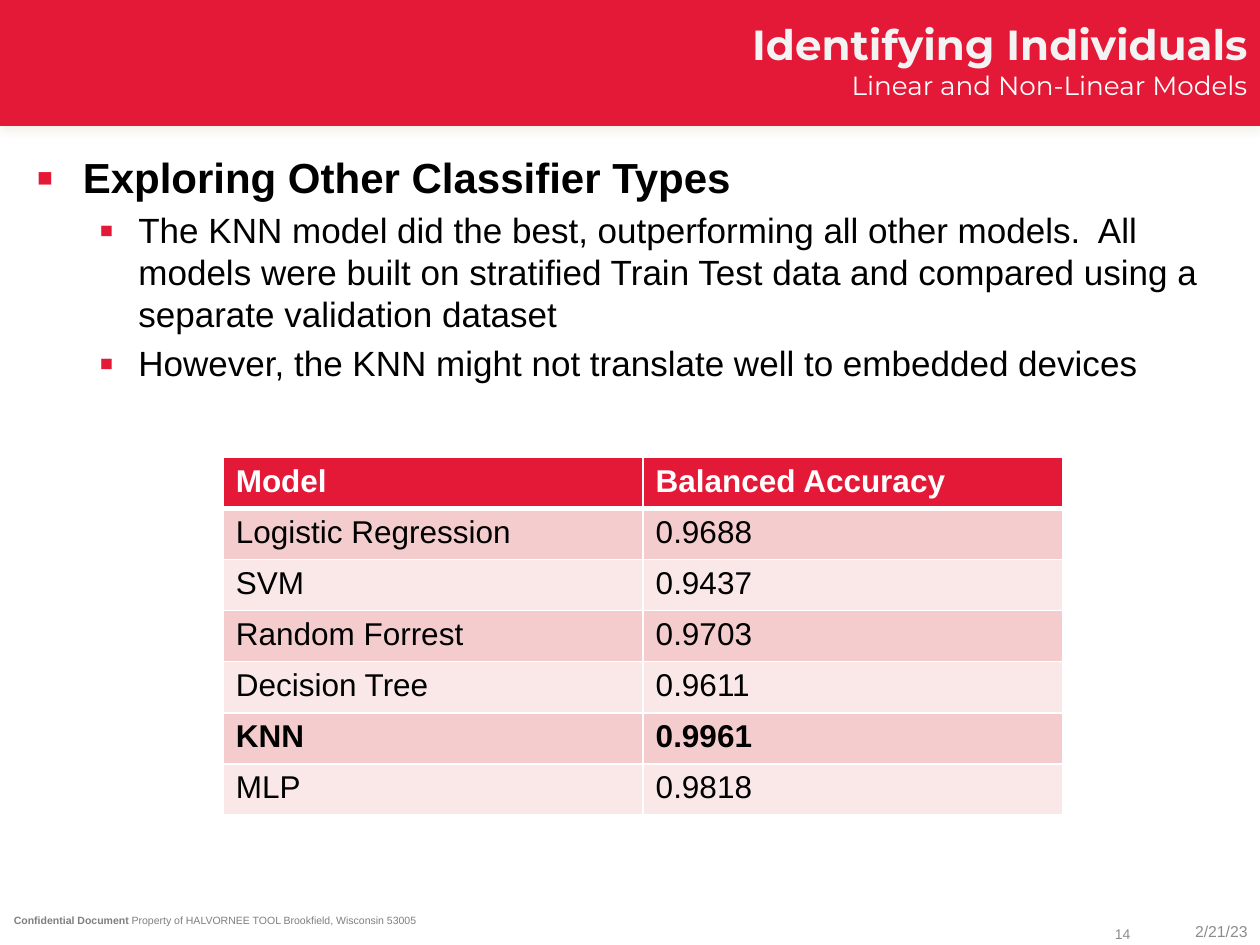
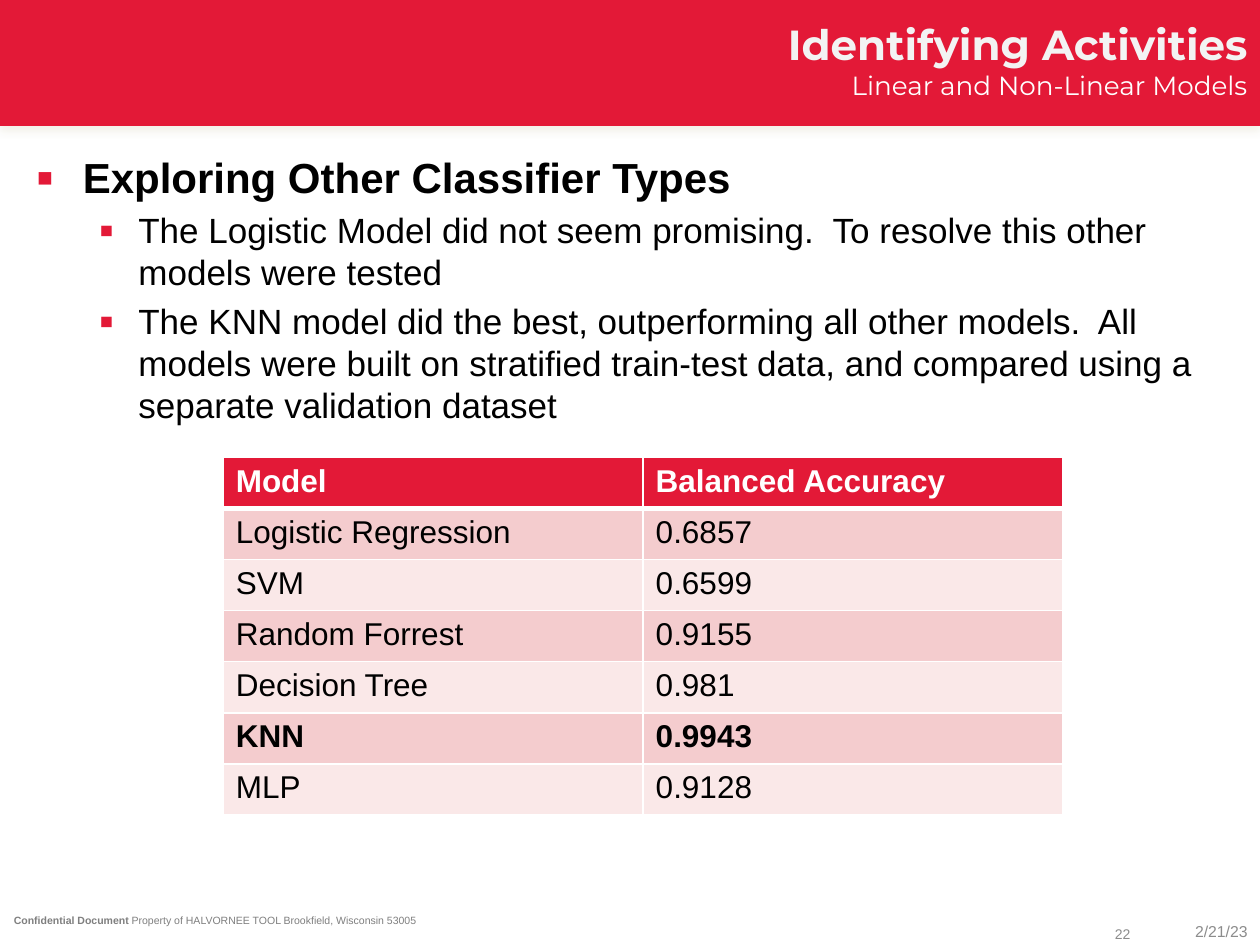
"""Build two slides that compare classifier models."""
import lxml.etree
import pptx
import pptx.dml.color
import pptx.enum.shapes
import pptx.enum.text
import pptx.oxml.ns
import pptx.util

Cm = pptx.util.Cm
Pt = pptx.util.Pt
ALIGN = pptx.enum.text.PP_ALIGN
ANCHOR = pptx.enum.text.MSO_ANCHOR

HUES = {
    "red": "E31937",
    "rose": "F4CCCE",
    "blush": "FAE8E8",
    "white": "FFFFFF",
    "pale": "F3F3F3",
    "black": "000000",
    "gray": "7F7F7F",
    "dim": "8C8C8C",
    "shade": "EEECE1",
}
HEAD = ("Model", "Balanced Accuracy")
MODELS = ("Logistic Regression", "SVM", "Random Forrest", "Decision Tree", "KNN", "MLP")
BEST = "KNN"
TOPIC = "Exploring Other Classifier Types"
SLIDES = [
    {
        "title": "Identifying Individuals",
        "points": (
            "The KNN model did the best, outperforming all other models.  All models were "
            "built on stratified Train Test data and compared using a separate validation dataset",
            "However, the KNN might not translate well to embedded devices",
        ),
        "scores": ("0.9688", "0.9437", "0.9703", "0.9611", "0.9961", "0.9818"),
        "page": "14",
    },
    {
        "title": "Identifying Activities",
        "points": (
            "The Logistic Model did not seem promising.  To resolve this other models were tested",
            "The KNN model did the best, outperforming all other models.  All models were "
            "built on stratified train-test data, and compared using a separate validation dataset",
        ),
        "scores": ("0.6857", "0.6599", "0.9155", "0.981", "0.9943", "0.9128"),
        "page": "22",
    },
]


def tint(name):
    """Return the named colour."""
    return pptx.dml.color.RGBColor.from_string(HUES[name])


def node(parent, tag, **attrs):
    """Append a drawing element to its parent."""
    return lxml.etree.SubElement(parent, pptx.oxml.ns.qn(f"a:{tag}"), attrs)


def add_run(para, text, size, hue, bold=False, face="Arial"):
    """Add one styled run."""
    run = para.add_run()
    run.text = text
    font = run.font
    font.name, font.size, font.bold = face, Pt(size), bold
    font.color.rgb = tint(hue)


def add_box(slide, left, top, width, height, anchor=ANCHOR.TOP, align=ALIGN.LEFT):
    """Add a wrapping text box and return its frame."""
    frame = slide.shapes.add_textbox(Cm(left), Cm(top), Cm(width), Cm(height)).text_frame
    frame.word_wrap = True
    frame.vertical_anchor = anchor
    frame.paragraphs[0].alignment = align
    return frame


def add_line(slide, area, text, size, hue, bold=False, face="Arial", anchor=ANCHOR.TOP):
    """Add one right-aligned line of text."""
    frame = add_box(slide, *area, anchor, ALIGN.RIGHT)
    add_run(frame.paragraphs[0], text, size, hue, bold, face)


def add_band(slide, width):
    """Add the red top band with its soft shadow."""
    kind = pptx.enum.shapes.MSO_SHAPE.RECTANGLE
    band = slide.shapes.add_shape(kind, 0, 0, width, Cm(2.54))
    band.fill.solid()
    band.fill.fore_color.rgb = tint("red")
    band.line.fill.background()
    band.shadow.inherit = False
    effects = band._element.spPr.find(pptx.oxml.ns.qn("a:effectLst"))
    glow = node(effects, "outerShdw", blurRad=str(Pt(5)), dist=str(Pt(2.1)),
                dir="5400000", algn="t", rotWithShape="0")
    node(node(glow, "srgbClr", val=HUES["shade"]), "alpha", val="75000")


def add_foot(slide, page):
    """Add the notice, page number and date."""
    para = add_box(slide, 0.03, 18.42, 25.4, 0.41).paragraphs[0]
    para.line_spacing = 0.5
    add_run(para, "Confidential Document ", 6, "gray", True)
    add_run(para, "Property of HALVORNEE TOOL Brookfield, Wisconsin 53005", 6, "gray")
    add_line(slide, (21.97, 18.59, 1.07, 0.46), page, 8, "dim", anchor=ANCHOR.MIDDLE)
    add_line(slide, (23.09, 18.59, 2.31, 0.38), "2/21/23", 9, "dim", anchor=ANCHOR.MIDDLE)


def set_mark(para, left, hang):
    """Give a paragraph a hanging red square."""
    props = para._p.get_or_add_pPr()
    props.set("marL", str(Cm(left)))
    props.set("indent", str(-Cm(hang)))
    node(node(props, "buClr"), "srgbClr", val=HUES["red"])
    node(props, "buSzPct", val="120000")
    node(props, "buFont", typeface="Arial")
    node(props, "buChar", char="▪")


def add_points(slide, points):
    """Add the topic and its points."""
    frame = add_box(slide, 0.48, 2.92, 24.59, 15.24)
    topic = frame.paragraphs[0]
    set_mark(topic, 0.94, 0.94)
    topic.line_spacing = Pt(29)
    add_run(topic, TOPIC, 24, "black", True)
    for point in points:
        para = frame.add_paragraph()
        para.level = 1
        set_mark(para, 2.06, 0.79)
        para.space_before, para.line_spacing = Pt(4), Pt(24)
        add_run(para, point, 20, "black")


def set_edges(cell, top, bottom):
    """Draw white cell borders."""
    props = cell._tc.get_or_add_tcPr()
    for side, width in (("L", 1), ("R", 1), ("T", top), ("B", bottom)):
        edge = node(props, f"ln{side}", w=str(Pt(width)))
        node(node(edge, "solidFill"), "srgbClr", val=HUES["white"])


def add_scores(slide, scores):
    """Add the table of model scores."""
    rows = [HEAD, *zip(MODELS, scores)]
    table = slide.shapes.add_table(
        len(rows), len(HEAD), Cm(4.5), Cm(9.22), Cm(16.93), Cm(7.21)).table
    table.horz_banding = False
    for i, row in enumerate(rows):
        fill = "red" if i == 0 else ("blush", "rose")[i % 2]
        hue = "black" if i else "white"
        for j, text in enumerate(row):
            cell = table.cell(i, j)
            set_edges(cell, 3 if i == 1 else 1, 3 if i == 0 else 1)
            cell.fill.solid()
            cell.fill.fore_color.rgb = tint(fill)
            add_run(cell.text_frame.paragraphs[0], text, 18, hue, i == 0 or row[0] == BEST)


def main():
    """Build and save the deck."""
    deck = pptx.Presentation()
    deck.slide_width, deck.slide_height = Cm(25.4), Cm(19.05)
    for item in SLIDES:
        slide = deck.slides.add_slide(deck.slide_layouts[6])
        add_band(slide, deck.slide_width)
        add_line(slide, (4.5, 1.27, 20.9, 1.07), "Linear and Non-Linear Models",
                 15, "white", face="Montserrat")
        add_line(slide, (4.45, 0.25, 20.95, 1.02), item["title"],
                 24, "pale", True, "Montserrat")
        add_points(slide, item["points"])
        add_foot(slide, item["page"])
        add_scores(slide, item["scores"])
    deck.save("out.pptx")


if __name__ == "__main__":
    main()
